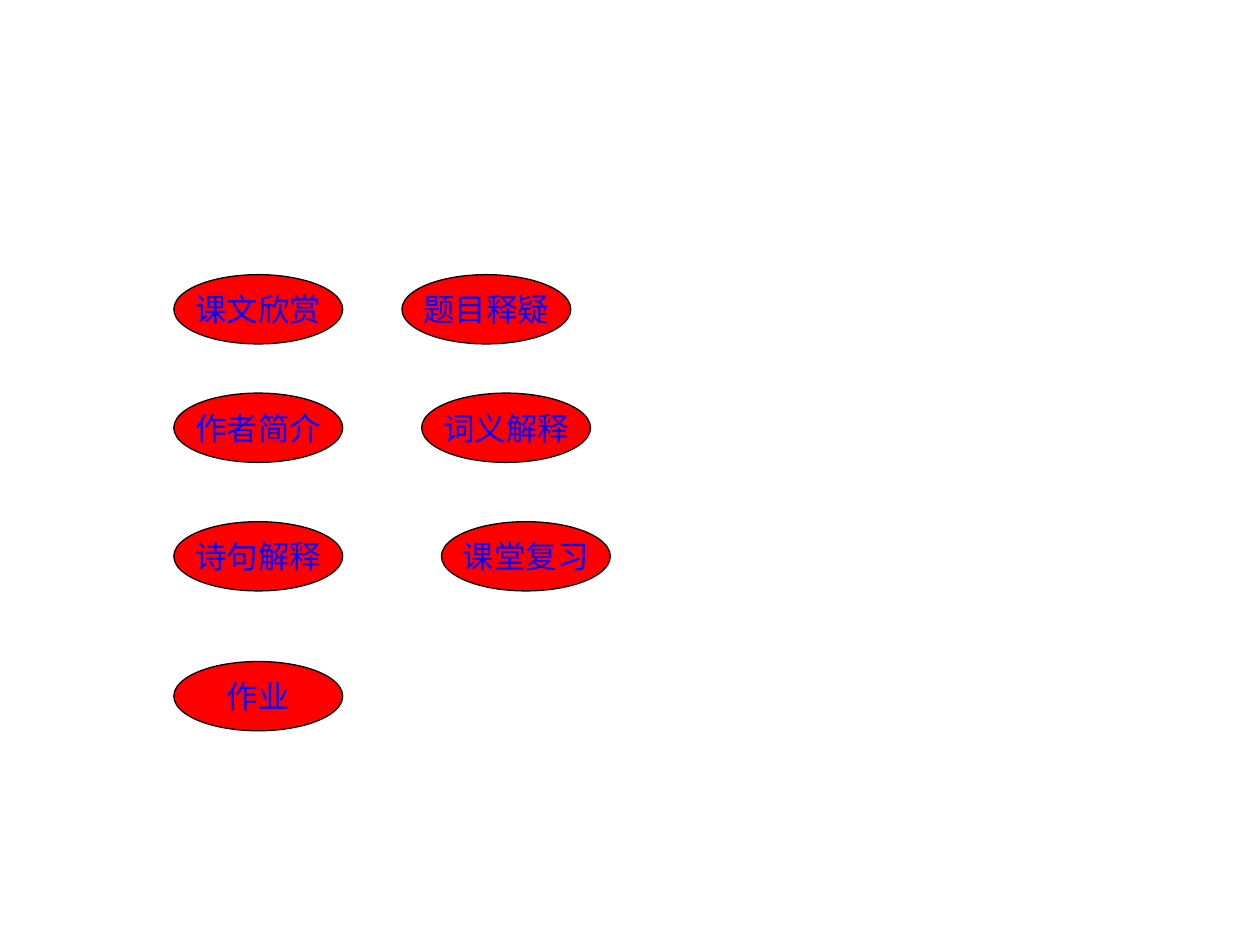
from pptx import Presentation
from pptx.dml.color import RGBColor
from pptx.enum.shapes import MSO_SHAPE
from pptx.enum.text import MSO_ANCHOR, PP_ALIGN
from pptx.util import Inches, Pt

RED = RGBColor(0xFF, 0x00, 0x00)
BLUE = RGBColor(0x00, 0x00, 0xFF)
BLACK = RGBColor(0x00, 0x00, 0x00)

deck = Presentation()
deck.slide_width, deck.slide_height = Inches(10), Inches(7.5)
slide = deck.slides.add_slide(deck.slide_layouts[6])

# Menu grid: the right column shifts outward by one step per row
WIDE, HIGH = Inches(1.34), Inches(0.55)
LEFT, RIGHT, STEP = 1.38, 3.19, 0.157
ROWS = [
    (2.18, ["课文欣赏", "题目释疑"]),
    (3.12, ["作者简介", "词义解释"]),
    (4.14, ["诗句解释", "课堂复习"]),
    (5.25, ["作业"]),
]

# Oval buttons
for row, (top, labels) in enumerate(ROWS):
    for left, label in zip((LEFT, RIGHT + row * STEP), labels):
        oval = slide.shapes.add_shape(
            MSO_SHAPE.OVAL, Inches(left), Inches(top), WIDE, HIGH)
        oval.shadow.inherit = False
        oval.fill.solid()
        oval.fill.fore_color.rgb = RED
        oval.line.color.rgb = BLACK
        oval.line.width = Pt(0.75)

        # Button label
        frame = oval.text_frame
        frame.word_wrap = False
        frame.vertical_anchor = MSO_ANCHOR.MIDDLE
        frame.text = label
        para = frame.paragraphs[0]
        para.alignment = PP_ALIGN.CENTER
        para.font.name = "Arial"
        para.font.size = Pt(18)
        para.font.color.rgb = BLUE

deck.save("out.pptx")
